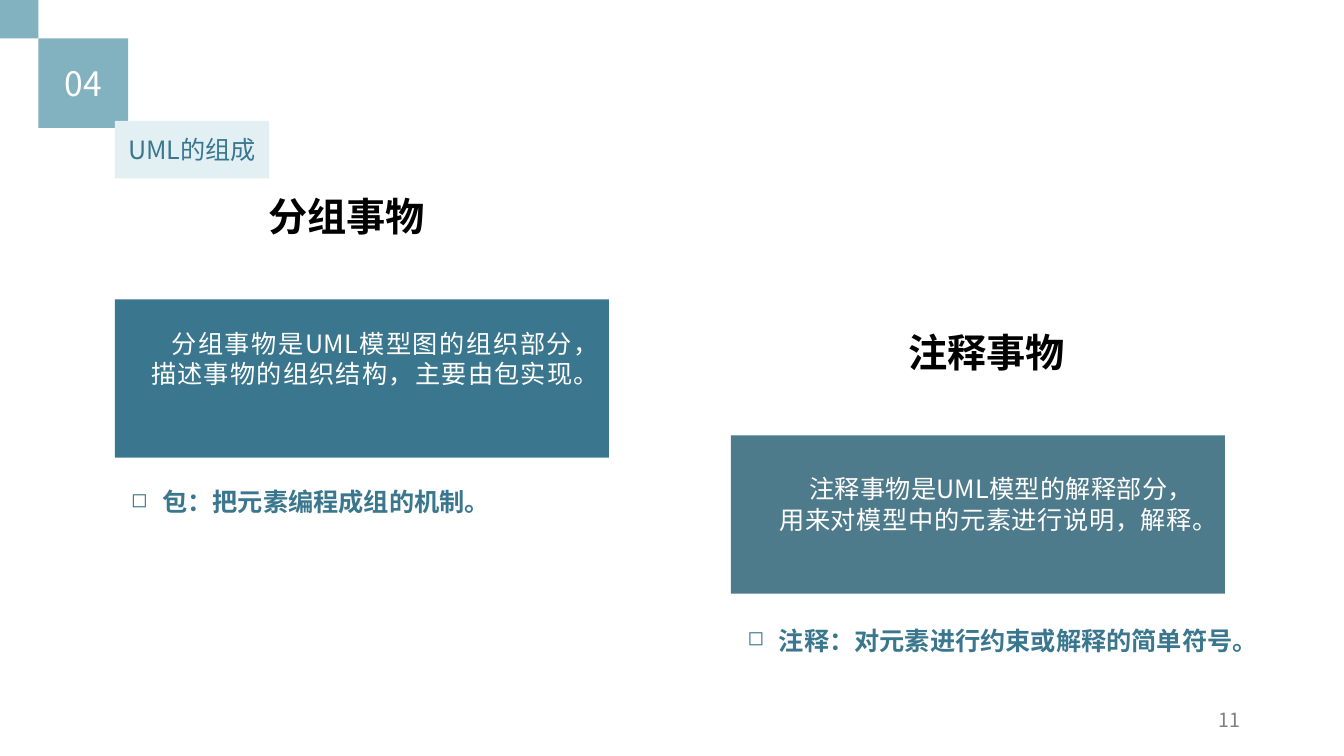
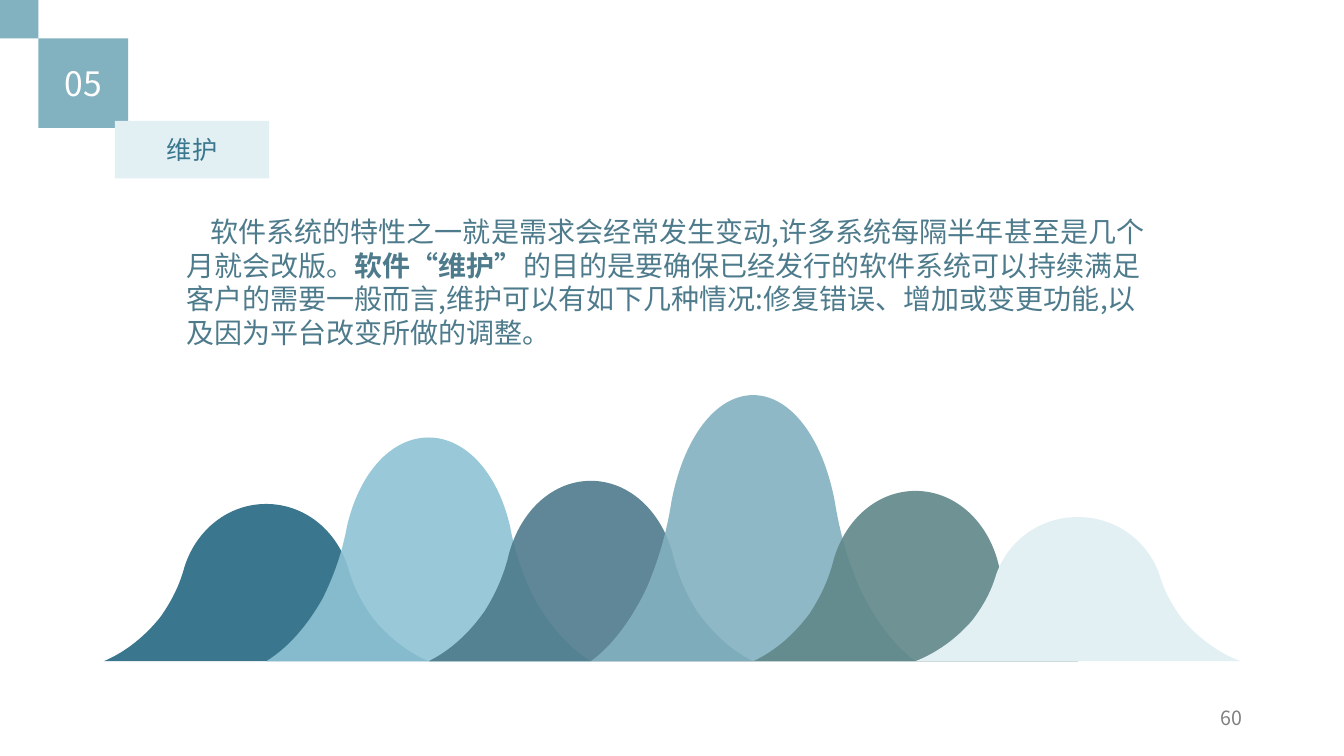
from pptx import Presentation
from pptx.dml.color import RGBColor
from pptx.enum.shapes import MSO_SHAPE as Shape
from pptx.enum.text import MSO_ANCHOR as Anchor, PP_ALIGN as Align
from pptx.oxml.ns import qn
from pptx.util import Inches, Pt
from lxml.etree import SubElement

FONT = "Noto Sans CJK SC"
HUES = {
    "teal": "3A778E", "slate": "4E7B8C", "mist": "82B1C0", "sky": "8EC3D4",
    "sage": "608789", "ice": "E2F0F4", "white": "FFFFFF", "black": "000000",
    "gray": "808080",
}
FOOT = 1.61
HALF = [
    (0, 1), (0.37, 1), (0.69, 0.84), (0.81, 0.6), (0.86, 0.48),
    (0.94, 0.38), (1.05, 0.28), (1.2, 0.16), (1.39, 0.06), (FOOT, 0),
]


def rgb(hue):
    """Return the named colour."""
    return RGBColor.from_string(HUES[hue])


def paint(shape, hue, alpha=100):
    """Give a shape a flat fill, without line or shadow."""
    shape.shadow.inherit = False
    shape.line.fill.background()
    shape.fill.solid()
    shape.fill.fore_color.rgb = rgb(hue)
    if alpha < 100:
        tint = shape._element.spPr.find(".//" + qn("a:srgbClr"))
        SubElement(tint, qn("a:alpha")).set("val", str(alpha * 1000))


def write(frame, text, size=18, hue="teal", bold=False, align=Align.CENTER,
          first=0, bullet=None, pitch=None):
    """Fill a frame with one paragraph; text is a string or (text, bold) pairs."""
    frame.word_wrap = True
    para = frame.paragraphs[0]
    para.alignment = align
    props = para._p.get_or_add_pPr()
    if pitch:
        para.line_spacing = Pt(pitch * size)
    if first:
        props.set("indent", str(Inches(first)))
    if bullet:
        props.set("marL", str(Inches(0.31)))
        props.set("indent", str(Inches(-0.31)))
        SubElement(props, qn("a:buSzPct")).set("val", "80000")
        SubElement(props, qn("a:buChar")).set("char", bullet)
    pairs = [(text, bold)] if isinstance(text, str) else text
    for part, heavy in pairs:
        run = para.add_run()
        run.text = part
        font = run.font
        font.size, font.bold, font.name = Pt(size), heavy, FONT
        font.color.rgb = rgb(hue)
        SubElement(run._r.get_or_add_rPr(), qn("a:ea")).set("typeface", FONT)


def label(slide, box, text, **style):
    """Add a text box at the given box."""
    frame = slide.shapes.add_textbox(*map(Inches, box)).text_frame
    write(frame, text, pitch=1.2, **style)


def block(slide, box, fill, text=None, **style):
    """Add a filled rectangle, with centred text if given."""
    shape = slide.shapes.add_shape(Shape.RECTANGLE, *map(Inches, box))
    paint(shape, fill)
    if text:
        shape.text_frame.vertical_anchor = Anchor.MIDDLE
        write(shape.text_frame, text, **style)


def start(deck, part, title):
    """Start a slide with its corner squares and title tag."""
    slide = deck.slides.add_slide(deck.slide_layouts[6])
    block(slide, (0, 0, 0.38, 0.38), "mist")
    block(slide, (0.38, 0.38, 0.89, 0.89), "mist", part, size=24, hue="white")
    block(slide, (1.14, 1.2, 1.53, 0.57), "ice", title)
    return slide


def folio(slide, left, top, page):
    """Add the page number."""
    label(slide, (left, top, 3, 0.4), page, size=14, hue="gray",
          align=Align.RIGHT)


def panel(slide, left, top, fill, head, shift, inset, first, body, note, foot):
    """Add a heading, a filled panel with its text and a bullet below."""
    dx, dy, width = inset
    drop, wide = foot
    block(slide, (left, top, 4.9, 1.57), fill)
    label(slide, (left + dx, top + dy, width, 0.71), body, hue="white",
          align=Align.JUSTIFY, first=first)
    label(slide, (left + shift, top - 1.11, 2.05, 0.57), head, size=28,
          hue="black", bold=True)
    label(slide, (left, top + drop, wide, 0.4), note, bold=True, bullet="◻")


def bend(shape):
    """Turn each three straight steps of an outline into one cubic curve."""
    steps = list(shape._element.iter(qn("a:lnTo")))
    for one, two, three in zip(steps[::3], steps[1::3], steps[2::3]):
        curve = one.getparent().makeelement(qn("a:cubicBezTo"), {})
        one.addprevious(curve)
        for step in (one, two, three):
            curve.append(step[0])
            step.getparent().remove(step)


def hill(slide, mid, base, high, hue, alpha):
    """Draw one bell-shaped hill standing on the base line."""
    ring = [(-x, y) for x, y in reversed(HALF)] + HALF[1:]
    spots = [(Inches(mid + x), Inches(base - high * y)) for x, y in ring]
    build = slide.shapes.build_freeform(*spots[0], scale=1.0)
    build.add_line_segments(spots[1:], close=True)
    shape = build.convert_to_shape()
    bend(shape)
    paint(shape, hue, alpha)


def ridge(slide, left, base, hills):
    """Draw hills that each start at the middle of the one before."""
    for i, (high, hue, alpha) in enumerate(hills, 1):
        hill(slide, left + FOOT * i, base, high, hue, alpha)


def things(deck):
    """Build the slide on grouping and annotation things."""
    slide = start(deck, "04", "UML的组成")
    panel(slide, 1.14, 2.97, "teal", "分组事物", 1.27, (0.26, 0.24, 4.39), 0.2,
          "分组事物是UML模型图的组织部分，描述事物的组织结构，主要由包实现。",
          "包：把元素编程成组的机制。", (1.81, 3.63))
    panel(slide, 7.25, 4.32, "slate", "注释事物", 1.51, (0.38, 0.33, 4.3), 0.3,
          "注释事物是UML模型的解释部分，用来对模型中的元素进行说明，解释。",
          "注释：对元素进行约束或解释的简单符号。", (1.83, 5.14))
    folio(slide, 9.4, 6.97, "11")


def upkeep(deck):
    """Build the slide on maintenance."""
    slide = start(deck, "05", "维护")
    ridge(slide, 1.03, 6.56, [
        (1.56, "teal", 100), (2.22, "sky", 90), (1.79, "slate", 90),
        (2.64, "mist", 90), (1.69, "sage", 90), (1.43, "ice", 100)])
    label(slide, (1.75, 2.08, 9.84, 1.45), [
        ("软件系统的特性之一就是需求会经常发生变动,许多系统每隔半年甚至是几个月就会改版。", False),
        ("软件“维护”", True),
        ("的目的是要确保已经发行的软件系统可以持续满足客户的需要一般而言,"
         "维护可以有如下几种情况:修复错误、增加或变更功能,"
         "以及因为平台改变所做的调整。", False),
    ], size=20, hue="slate", align=Align.LEFT, first=0.24)
    folio(slide, 9.42, 6.95, "60")


def main():
    """Build and save the deck."""
    deck = Presentation()
    deck.slide_width, deck.slide_height = Inches(13.33), Inches(7.5)
    things(deck)
    upkeep(deck)
    deck.save("out.pptx")


if __name__ == "__main__":
    main()
